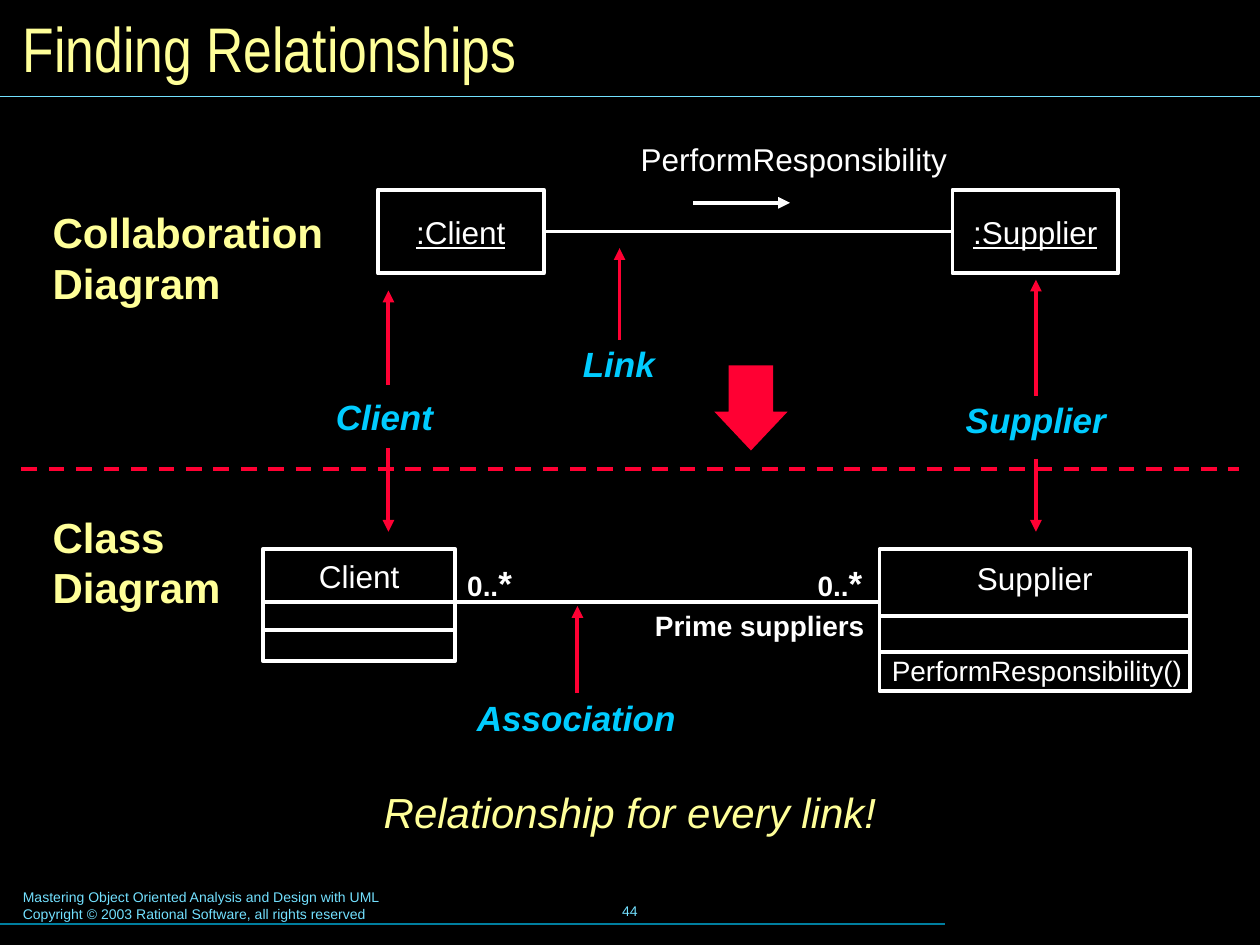
"""Draw the slide on finding relationships, on a grid of 100 columns by 75 rows."""
from dataclasses import dataclass
from typing import Optional

from lxml import etree
from pptx import Presentation, util as u
from pptx.dml import color
from pptx.enum import dml, shapes, text
from pptx.oxml import ns


@dataclass(frozen=True)
class Theme:
    back: str = "000000"
    white: str = "FFFFFF"
    cream: str = "FFFF99"
    cyan: str = "00CCFF"
    pale: str = "73E1FF"
    teal: str = "007E9F"
    red: str = "FF0033"
    font: str = "Arial"
    slim: str = "Arial Narrow"
    title: int = 36
    head: int = 24
    term: int = 20
    name: int = 18
    role: int = 16
    foot: int = 8
    thick: float = 2.25
    thin: float = 0.75


T = Theme()


@dataclass(frozen=True)
class Style:
    size: int
    ink: str
    bold: bool = False
    slant: bool = False
    under: bool = False
    face: str = T.font


@dataclass(frozen=True)
class Label:
    words: str
    col: float
    row: float
    wide: float
    high: float
    style: Style
    pad: float = 0
    mid: bool = False
    center: bool = False


@dataclass(frozen=True)
class Line:
    col: float
    row: float
    end_col: float
    end_row: float
    ink: str
    weight: float = T.thick
    arrow: bool = False
    dash: bool = False


@dataclass(frozen=True)
class Box:
    words: str
    col: float
    row: float
    wide: float
    high: float
    style: Style
    top: Optional[float] = None
    rules: tuple = ()


TITLE = Style(T.title, T.cream, face=T.slim)
HEAD = Style(T.head, T.cream, bold=True)
MOTTO = Style(T.head, T.cream, slant=True)
TERM = Style(T.term, T.cyan, bold=True, slant=True)
NAME = Style(T.name, T.white)
OBJECT = Style(T.name, T.white, under=True)
ROLE = Style(T.role, T.white, bold=True)
STAR = Style(T.term, T.white, bold=True)
CALL = Style(T.role, T.white)
FOOT = Style(T.foot, T.pale)

deck = Presentation()
deck.slide_width, deck.slide_height = u.Inches(10), u.Inches(7.5)
CELL = deck.slide_width / 100
page = deck.slides.add_slide(deck.slide_layouts[6])
page.background.fill.solid()
page.background.fill.fore_color.rgb = color.RGBColor.from_string(T.back)


def grid(*cells: float) -> list:
    """Turn grid cells into slide lengths."""
    return [u.Emu(round(cell * CELL)) for cell in cells]


def paint(run, style: Style) -> None:
    """Give a run its type style."""
    font = run.font
    font.name, font.size = style.face, u.Pt(style.size)
    font.bold, font.italic, font.underline = style.bold, style.slant, style.under
    font.color.rgb = color.RGBColor.from_string(style.ink)


def write(frame, words: str, style: Style, center: bool) -> None:
    """Fill a text frame with styled words."""
    frame.text = words
    for para in frame.paragraphs:
        para.alignment = text.PP_ALIGN.CENTER if center else text.PP_ALIGN.LEFT
        for run in para.runs:
            paint(run, style)


def note(item: Label):
    """Draw a text box and return its frame."""
    frame = page.shapes.add_textbox(*grid(item.col, item.row, item.wide, item.high)).text_frame
    side, edge = grid(item.pad, item.pad / 2)
    frame.margin_left = frame.margin_right = side
    frame.margin_top = frame.margin_bottom = edge
    frame.word_wrap = True
    frame.vertical_anchor = text.MSO_ANCHOR.MIDDLE if item.mid else text.MSO_ANCHOR.TOP
    write(frame, item.words, item.style, item.center)
    return frame


def rule(item: Line):
    """Draw a straight line or arrow."""
    ends = grid(item.col, item.row, item.end_col, item.end_row)
    wire = page.shapes.add_connector(shapes.MSO_CONNECTOR.STRAIGHT, *ends)
    wire.line.color.rgb = color.RGBColor.from_string(item.ink)
    wire.line.width = u.Pt(item.weight)
    if item.dash:
        wire.line.dash_style = dml.MSO_LINE.DASH
    if item.arrow:
        etree.SubElement(wire.line._get_or_add_ln(), ns.qn("a:tailEnd"), type="triangle")
    etree.SubElement(wire._element.spPr, ns.qn("a:effectLst"))
    return wire


def block(item: Box):
    """Draw an outlined box with its name and inner rules."""
    rect = page.shapes.add_shape(shapes.MSO_SHAPE.RECTANGLE,
                                 *grid(item.col, item.row, item.wide, item.high))
    rect.shadow.inherit = False
    rect.fill.background()
    rect.line.color.rgb = color.RGBColor.from_string(T.white)
    rect.line.width = u.Pt(T.thick)
    frame = rect.text_frame
    frame.margin_left = frame.margin_right = frame.margin_top = frame.margin_bottom = 0
    frame.vertical_anchor = text.MSO_ANCHOR.MIDDLE
    if item.top is not None:
        frame.margin_top = grid(item.top)[0]
        frame.vertical_anchor = text.MSO_ANCHOR.TOP
    write(frame, item.words, item.style, True)
    for row in item.rules:
        rule(Line(item.col, row, item.col + item.wide, row, T.white))
    return rect


LINES = (
    Line(0, 73.33, 75, 73.33, T.teal, T.thin),
    Line(0, 7.64, 100, 7.64, T.pale, T.thin),
    Line(55, 16.1, 62.7, 16.1, T.white, arrow=True),
    Line(36.1, 47.75, 69.8, 47.75, T.white),
    Line(1.7, 37.2, 98.3, 37.2, T.red, dash=True),
    Line(49.17, 27, 49.17, 19.7, T.red, arrow=True),
    Line(45.83, 55, 45.83, 48.1, T.red, arrow=True),
    Line(30.83, 30.56, 30.83, 23.06, T.red, arrow=True),
    Line(30.83, 35.56, 30.83, 42.2, T.red, arrow=True),
    Line(82.22, 31.4, 82.22, 22.2, T.red, arrow=True),
    Line(82.22, 36.4, 82.22, 42.2, T.red, arrow=True),
)
LABELS = (
    Label("Finding Relationships", 0.83, 0.83, 98.33, 5.83, TITLE, 1, mid=True),
    Label("PerformResponsibility", 50.85, 11.1, 30.4, 3, NAME),
    Label("Collaboration\nDiagram", 4.17, 16.4, 22.5, 8, HEAD),
    Label("Class\nDiagram", 4.17, 40.6, 14.5, 8, HEAD),
    Label("Link", 46.25, 27.2, 6.5, 3.3, TERM),
    Label("Client", 26.65, 31.4, 8.5, 3.3, TERM),
    Label("Supplier", 76.65, 31.6, 12, 3.3, TERM),
    Label("Association", 37.85, 55.3, 16.5, 3.3, TERM),
    Label("Prime suppliers", 51, 47.8, 19.3, 3.7, ROLE, 1),
    Label("PerformResponsibility()", 69.8, 51.4, 25.8, 3.7, CALL, 1),
    Label("Relationship for every link!", 22.1, 61.8, 55.8, 5.2, MOTTO, 1.2, center=True),
    Label("Mastering Object Oriented Analysis and Design with UML\n"
          "Copyright © 2003 Rational Software, all rights reserved", 0.83, 70.05, 51, 3.7, FOOT, 1),
    Label("44", 34.15, 69.8, 31.7, 5, FOOT, 1, mid=True, center=True),
)

for item in LINES:
    rule(item)
for item in LABELS:
    note(item)
for col in (36.1, 63.9):
    star = note(Label("0..", col, 44.05, 6.1, 4.4, ROLE, 1)).paragraphs[0].add_run()
    star.text = "*"
    paint(star, STAR)

client, supplier = (block(Box(words, col, 15.05, 13.15, 6.65, OBJECT))
                    for words, col in ((":Client", 30), (":Supplier", 75.6)))
link = rule(Line(43.15, 18.38, 75.6, 18.38, T.white))
link.begin_connect(client, 3)
link.end_connect(supplier, 1)
block(Box("Client", 20.85, 43.6, 15.3, 8.85, NAME, 0.6, (47.75, 50)))
block(Box("Supplier", 69.8, 43.6, 24.65, 11.25, NAME, 0.8, (48.9, 51.75)))

down = page.shapes.add_shape(shapes.MSO_SHAPE.DOWN_ARROW, *grid(56.7, 29, 5.8, 6.75))
down.adjustments[0], down.adjustments[1] = 0.61, 0.53
down.shadow.inherit = False
down.fill.solid()
down.fill.fore_color.rgb = color.RGBColor.from_string(T.red)
down.line.fill.background()

deck.save("out.pptx")
